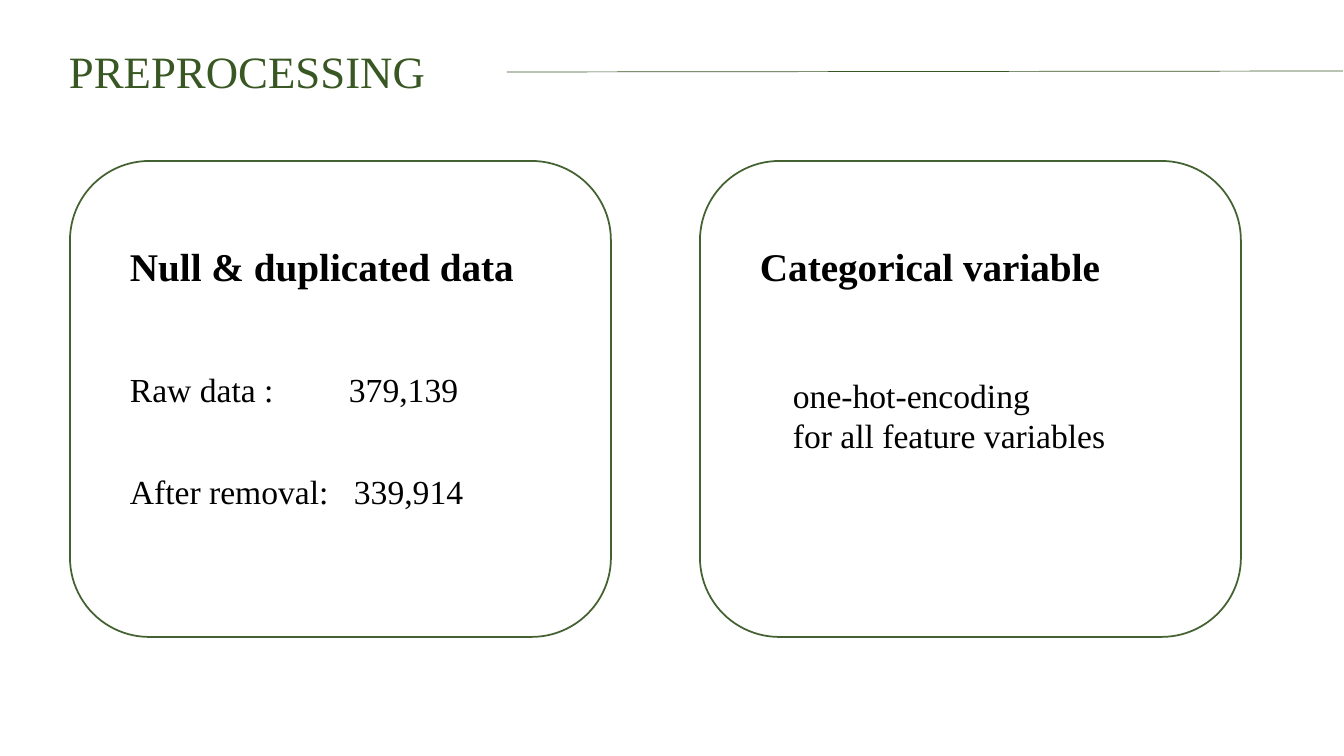
"""Build the preprocessing slide with two outlined cards."""
import pptx
import pptx.dml.color
import pptx.enum.shapes
import pptx.enum.text
import pptx.oxml.ns
import pptx.util
from lxml import etree

TITLE = "PREPROCESSING"
CARDS = [
    {"heading": "Null & duplicated data", "top": 364, "indent": 0, "gap": 44,
     "lines": [("Raw data :\t379,139", 219), ("After removal:\t339,914", 224)]},
    {"heading": "Categorical variable", "top": 370, "indent": 33, "gap": 0,
     "lines": [("one-hot-encoding", None), ("for all feature variables", None)]},
]

FONT = "Times New Roman"
GREEN = pptx.dml.color.RGBColor(0x38, 0x57, 0x23)
OUTLINE = pptx.dml.color.RGBColor(0x44, 0x62, 0x31)
BLACK = pptx.dml.color.RGBColor(0, 0, 0)

SLIDE_WIDTH, SLIDE_HEIGHT = 1344, 756
CARD_LEFT, CARD_TOP, CARD_WIDTH, CARD_HEIGHT = 70, 161, 541, 476
CARD_PITCH = 630
TEXT_INSET = 50
TEXT_WIDTH = 428


def px(length):
    """Turn px into EMU."""
    return pptx.util.Emu(round(length * 914400 / 100.8))


def add_text(slide, lines, left, top, width, height, size, color=BLACK,
             bold=False, indent=0, gap=0):
    """Add a text box of (text, tab stop) lines."""
    box = slide.shapes.add_textbox(px(left), px(top), px(width), px(height))
    frame = box.text_frame
    frame.word_wrap = True
    for index, (text, tab_stop) in enumerate(lines):
        paragraph = frame.paragraphs[0] if index == 0 else frame.add_paragraph()
        run = paragraph.add_run()
        run.text = text
        run.font.name = FONT
        run.font.size = pptx.util.Pt(size)
        run.font.bold = bold
        run.font.color.rgb = color
        if index:
            paragraph.space_before = pptx.util.Pt(gap)
        properties = paragraph._p.get_or_add_pPr()
        properties.set("marL", str(px(indent)))
        if tab_stop:
            tabs = etree.SubElement(properties, pptx.oxml.ns.qn("a:tabLst"))
            etree.SubElement(tabs, pptx.oxml.ns.qn("a:tab"),
                             pos=str(px(tab_stop)), algn="l")


def add_card(slide, card, left):
    """Add one outlined card with its heading and lines."""
    shape = slide.shapes.add_shape(
        pptx.enum.shapes.MSO_SHAPE.ROUNDED_RECTANGLE,
        px(left), px(CARD_TOP), px(CARD_WIDTH), px(CARD_HEIGHT))
    shape.shadow.inherit = False
    shape.fill.background()
    shape.line.color.rgb = OUTLINE
    shape.line.width = pptx.util.Pt(1.25)
    text_left = left + TEXT_INSET
    add_text(slide, [(card["heading"], None)], text_left, 237, TEXT_WIDTH, 57,
             size=28, bold=True)
    add_text(slide, card["lines"], text_left, card["top"], TEXT_WIDTH, 151 if card["gap"] else 92,
             size=24, indent=card["indent"], gap=card["gap"])


def main():
    """Build and save the slide."""
    presentation = pptx.Presentation()
    presentation.slide_width = px(SLIDE_WIDTH)
    presentation.slide_height = px(SLIDE_HEIGHT)
    slide = presentation.slides.add_slide(presentation.slide_layouts[6])

    rule = slide.shapes.add_connector(
        pptx.enum.shapes.MSO_CONNECTOR.STRAIGHT, px(507), px(72), px(1343), px(71))
    rule.line.color.rgb = GREEN
    rule.line.width = pptx.util.Pt(0.5)
    etree.SubElement(rule._element.spPr, pptx.oxml.ns.qn("a:effectLst"))

    add_text(slide, [(TITLE, None)], 59, 39, 448, 65, size=32, color=GREEN)
    for index, card in enumerate(CARDS):
        add_card(slide, card, CARD_LEFT + index * CARD_PITCH)
    presentation.save("out.pptx")


if __name__ == "__main__":
    main()
